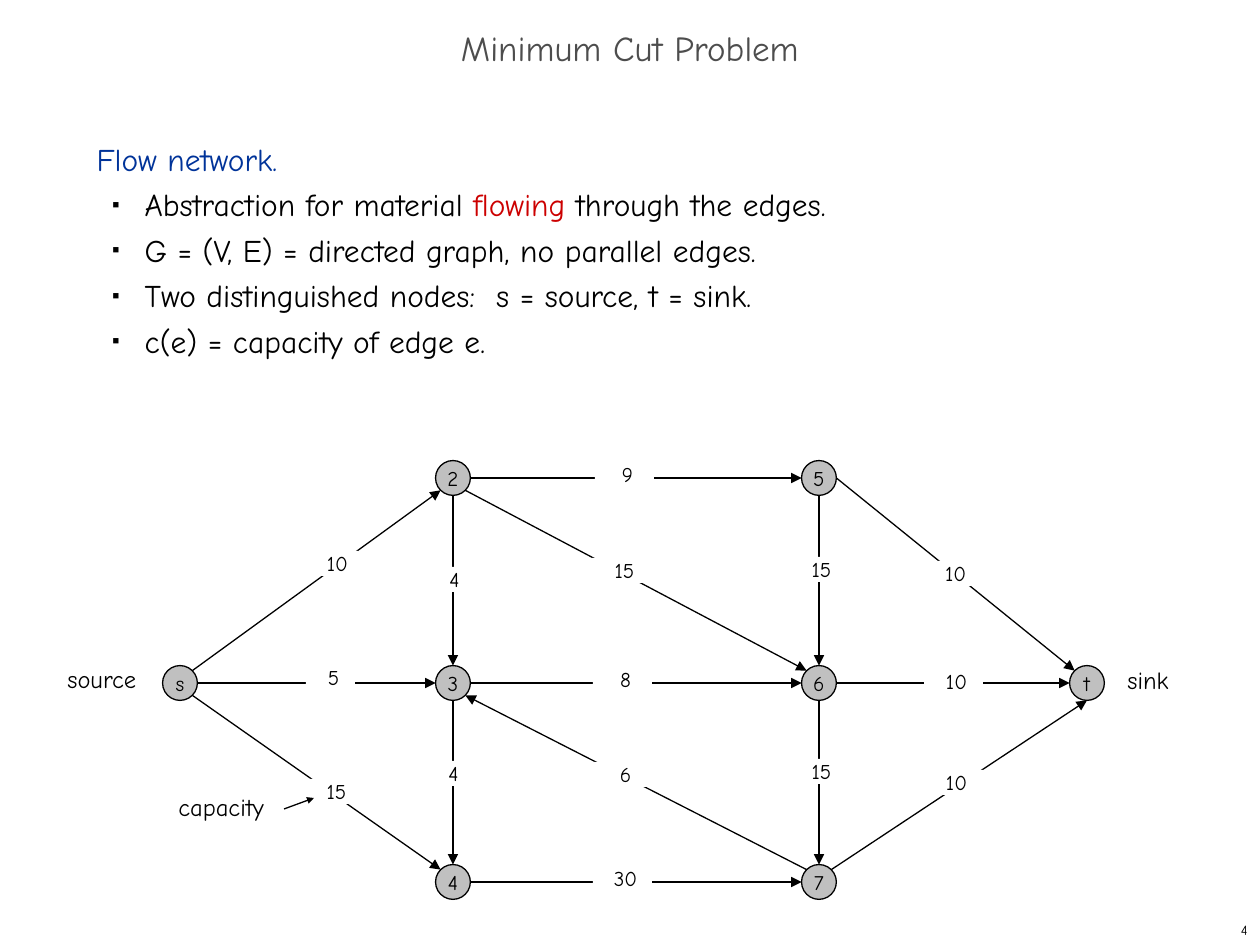
from lxml.etree import SubElement
from pptx import Presentation
from pptx.dml.color import RGBColor
from pptx.enum.shapes import MSO_CONNECTOR as CONNECTOR, MSO_SHAPE as SHAPE
from pptx.enum.text import MSO_ANCHOR as ANCHOR, MSO_AUTO_SIZE as AUTO, PP_ALIGN as ALIGN
from pptx.oxml.ns import qn
from pptx.util import Pt

PX = 914400 / 126
FONT = "Comic Neue"
BLACK, WHITE, GREY, BLUE, RED, TITLE_GREY = (
    "000000", "FFFFFF", "C0C0C0", "003399", "CC0000", "4D4D4D")
RADIUS = 17.4

# Node name: column, row
COLUMNS = [124, 397, 763, 1031]
ROWS = [18, 223, 422]
NODES = {"s": (0, 1), "2": (1, 0), "3": (1, 1), "4": (1, 2),
         "5": (2, 0), "6": (2, 1), "7": (2, 2), "t": (3, 1)}

# Directions from a node's centre to the point where an edge touches it
SIDES = {"N": (0, -1), "S": (0, 1), "W": (-1, 0), "E": (1, 0),
         "NW": (-0.71, -0.71), "NE": (0.71, -0.71),
         "SW": (-0.71, 0.71), "SE": (0.71, 0.71)}

# From node, side, to node, side, capacity, label left, label top, label shift
EDGES = [
    ("s", "NE", "2", "SW", "10", 243, 91, 18),
    ("s", "E", "3", "W", "5", 250, 205, 6),
    ("s", "SE", "4", "NW", "15", 248, 319, 6),
    ("2", "E", "5", "W", "9", 539, 2, 6),
    ("2", "S", "3", "N", "4", 366, 107, 6),
    ("2", "SE", "6", "NW", "15", 536, 98, 6),
    ("3", "E", "6", "W", "8", 537, 207, 6),
    ("3", "S", "4", "N", "4", 365, 301, 6),
    ("4", "E", "7", "W", "30", 537, 406, 6),
    ("5", "S", "6", "N", "15", 733, 97, 6),
    ("6", "S", "7", "N", "15", 733, 299, 6),
    ("7", "NW", "3", "SE", "6", 537, 302, 6),
    ("5", "E", "t", "NW", "10", 861, 101, 18),
    ("6", "E", "t", "W", "10", 868, 209, 6),
    ("7", "NE", "t", "S", "10", 868, 310, 6),
]
# Caption, left, top, width
CAPTIONS = [("source", -1, 198, 95), ("sink", 1059, 199, 67), ("capacity", 110, 326, 111)]


def emu(px):
    return round(px * PX)


def color(value):
    return RGBColor.from_string(value)


def add_text(para, text, size=18, fill=BLACK, align=None):
    if align is not None:
        para.alignment = align
    span = para.add_run()
    span.text = text
    span.font.name = FONT
    span.font.size = Pt(size)
    span.font.color.rgb = color(fill)


def place(shape, left, top, width, height):
    shape.left, shape.top = emu(left), emu(top)
    shape.width, shape.height = emu(width), emu(height)


def add_box(page, left, top, width, height, text, wrap=True, anchor=ANCHOR.TOP, **style):
    box = page.shapes.add_textbox(emu(left), emu(top), emu(width), emu(height))
    box.text_frame.word_wrap = wrap
    box.text_frame.vertical_anchor = anchor
    add_text(box.text_frame.paragraphs[0], text, **style)
    return box


def add_arrow(page, start, end, head="med"):
    arrow = page.shapes.add_connector(CONNECTOR.STRAIGHT, *map(emu, (*start, *end)))
    arrow.line.color.rgb = color(BLACK)
    arrow.line.width = Pt(0.75)
    SubElement(arrow.line._ln, qn("a:tailEnd"), type="triangle", w=head, len=head)
    SubElement(arrow._element.spPr, qn("a:effectLst"))


def add_node(page, x, y, name):
    node = page.shapes.add_shape(SHAPE.OVAL, emu(x - RADIUS), emu(y - RADIUS),
                                 emu(2 * RADIUS), emu(2 * RADIUS))
    node.shadow.inherit = False
    node.fill.solid()
    node.fill.fore_color.rgb = color(GREY)
    node.line.color.rgb = color(BLACK)
    node.line.width = Pt(0.75)
    node.text_frame.word_wrap = False
    node.text_frame.vertical_anchor = ANCHOR.MIDDLE
    add_text(node.text_frame.paragraphs[0], name, size=12, align=ALIGN.CENTER)


def add_capacity(page, left, top, width, text, shift):
    label = add_box(page, left, top, width, 25, text, size=12, align=ALIGN.CENTER)
    label.fill.solid()
    label.fill.fore_color.rgb = color(WHITE)
    frame = label.text_frame
    frame.margin_top = frame.margin_right = frame.margin_bottom = 0
    frame.margin_left = emu(shift)


def fill_title(title, left, top, width, height):
    place(title, left, top, width, height)
    frame = title.text_frame
    frame.auto_size = AUTO.NONE
    frame.vertical_anchor = ANCHOR.MIDDLE
    para = frame.paragraphs[0]
    para.line_spacing = 0.7
    add_text(para, "Minimum Cut Problem", size=20, fill=TITLE_GREY, align=ALIGN.CENTER)


def format_line(para, bullet):
    props = para._p.get_or_add_pPr()
    props.set("marL", str(emu(48 if bullet else 0)))
    props.set("indent", str(emu(-32 if bullet else 0)))
    if bullet:
        para.level = 1
        SubElement(SubElement(props, qn("a:buClr")), qn("a:srgbClr"), val=BLACK)
        SubElement(props, qn("a:buSzPct"), val="35000")
        SubElement(props, qn("a:buChar"), char="■")
    else:
        SubElement(props, qn("a:buNone"))
    para.line_spacing = Pt(26)
    para.space_before = Pt(0)


def fill_body(body, left, top, width, height):
    place(body, left, top, width, height)
    frame = body.text_frame
    frame.auto_size = AUTO.NONE
    lines = [
        [("Flow network.", BLUE)],
        [("Abstraction for material ", BLACK), ("flowing", RED),
         (" through the edges.", BLACK)],
        [("G = (V, E) = directed graph, no parallel edges.", BLACK)],
        [("Two distinguished nodes:  s = source, t = sink.", BLACK)],
        [("c(e) = capacity of edge e.", BLACK)],
    ]
    for index, spans in enumerate(lines):
        para = frame.add_paragraph() if index else frame.paragraphs[0]
        format_line(para, bullet=index > 0)
        for text, fill in spans:
            add_text(para, text, fill=fill)


def draw_network(page, left, top):
    centers = {name: (left + COLUMNS[col], top + ROWS[row])
               for name, (col, row) in NODES.items()}

    def touch(name, side):
        return [c + RADIUS * d for c, d in zip(centers[name], SIDES[side])]

    # Nodes, edges, then the capacities that interrupt the edges
    for name, center in centers.items():
        add_node(page, *center, name)
    for start, start_side, end, end_side, *_ in EDGES:
        add_arrow(page, touch(start, start_side), touch(end, end_side))
    for start, _, end, _, capacity, x, y, shift in EDGES:
        width = 49 if (start, end) == ("s", "3") else 59
        add_capacity(page, left + x, top + y, width, capacity, shift)

    # Captions and the pointer to a capacity
    for text, x, y, width in CAPTIONS:
        add_box(page, left + x, top + y, width, 42, text, wrap=False, size=14)
    add_arrow(page, (left + 228, top + 349), (left + 258, top + 338), head="sm")


def main():
    deck = Presentation()
    deck.slide_width, deck.slide_height = emu(1260), emu(945)
    page = deck.slides.add_slide(deck.slide_layouts[1])
    fill_body(page.placeholders[1], 84, 126, 1081, 746)
    fill_title(page.shapes.title, 0, 21, 1260, 63)
    draw_network(page, 56, 460)
    # Page number
    add_box(page, 998, 914, 262, 31, "4", anchor=ANCHOR.MIDDLE, size=8, align=ALIGN.RIGHT)
    deck.save("out.pptx")


if __name__ == "__main__":
    main()
